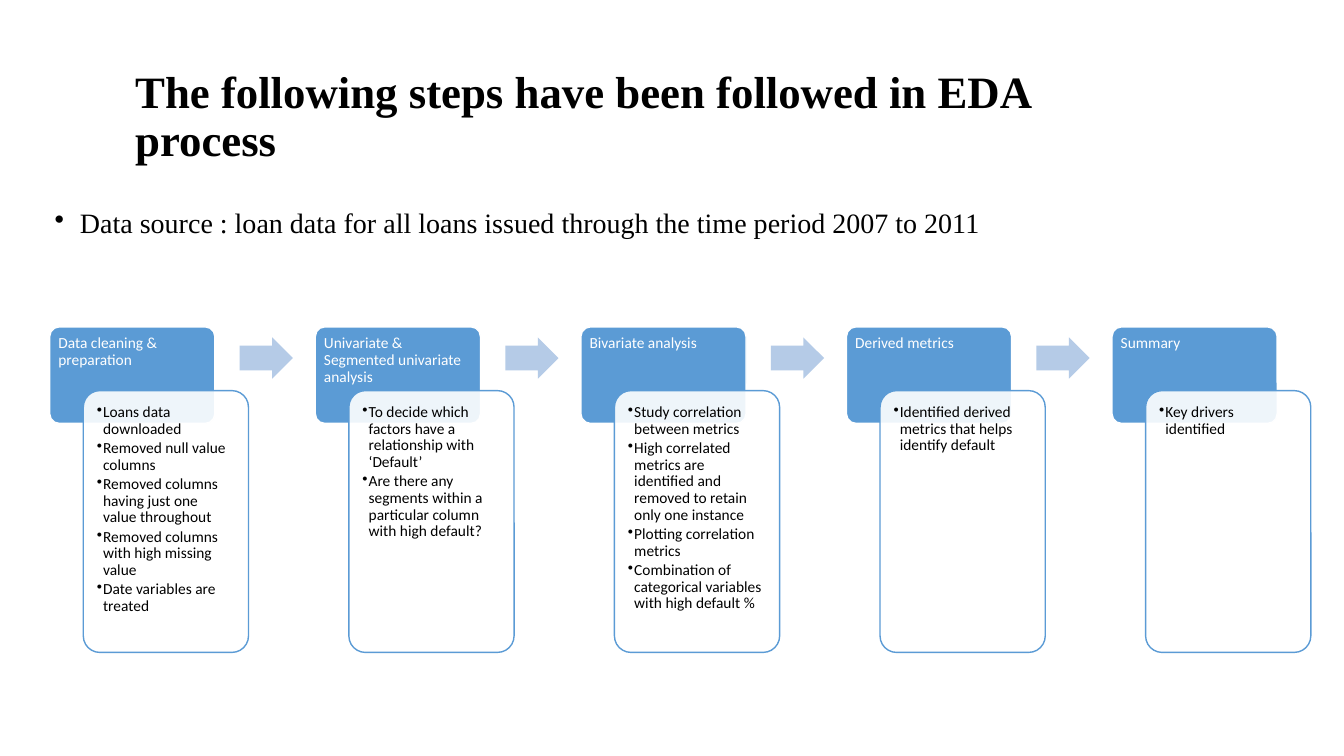
import pptx
import pptx.util
import pptx.dml.color
import pptx.enum.shapes
import pptx.enum.text
import pptx.oxml.ns
import lxml.etree

Pt = pptx.util.Pt
SHAPE = pptx.enum.shapes.MSO_SHAPE
ANCHOR = pptx.enum.text.MSO_ANCHOR
ALIGN = pptx.enum.text.PP_ALIGN
rgb = pptx.dml.color.RGBColor.from_string
qn = pptx.oxml.ns.qn

THEME = {
    "text": "000000", "white": "FFFFFF", "blue": "5B9BD5", "arrow": "B5CBE7",
    "heading_font": "Times New Roman", "step_font": "Calibri",
    "title_size": 32, "body_size": 20, "step_size": 11,
}

STEPS = [
    ("Data cleaning & preparation",
     ["Loans data downloaded",
      "Removed null value columns",
      "Removed columns having just one value throughout",
      "Removed columns with high missing value",
      "Date variables are treated"]),
    ("Univariate & Segmented univariate analysis",
     ["To decide which factors have a relationship with ‘Default’",
      "Are there any segments within a particular column with high default?"]),
    ("Bivariate analysis",
     ["Study correlation between metrics",
      "High correlated metrics are identified and removed to retain only one instance",
      "Plotting correlation metrics",
      "Combination of categorical variables with high default %"]),
    ("Derived metrics",
     ["Identified derived metrics that helps identify default"]),
    ("Summary", ["Key drivers identified"]),
]


def add_block(s, kind, x, y, w, h, fill, line=None):
    sp = s.shapes.add_shape(kind, Pt(x), Pt(y), Pt(w), Pt(h))
    sp.shadow.inherit = False
    sp.fill.solid()
    sp.fill.fore_color.rgb = rgb(THEME[fill])
    if line:
        sp.line.color.rgb = rgb(THEME[line])
        sp.line.width = Pt(1)
    else:
        sp.line.fill.background()
    return sp


def write(sp, lines, font, size, color="text", inset=(7.2, 3.6), indent=0,
          after=0, anchor=ANCHOR.TOP, bold=False):
    tf = sp.text_frame
    tf.word_wrap = True
    tf.vertical_anchor = anchor
    tf.margin_left = tf.margin_right = Pt(inset[0])
    tf.margin_top = tf.margin_bottom = Pt(inset[1])
    for i, line in enumerate(lines):
        p = tf.paragraphs[0] if i == 0 else tf.add_paragraph()
        p.text = line
        p.alignment = ALIGN.LEFT
        p.line_spacing = 0.9
        p.space_after = Pt(after)
        p.font.name = THEME[font]
        p.font.size = Pt(THEME[size])
        p.font.bold = bold
        p.font.color.rgb = rgb(THEME[color])
        if indent:
            pPr = p._p.get_or_add_pPr()
            pPr.set("marL", str(Pt(indent)))
            pPr.set("indent", str(-Pt(indent)))
            bullet = lxml.etree.Element(qn("a:buChar"), char="•")
            pPr.find(qn("a:defRPr")).addprevious(bullet)


prs = pptx.Presentation()
prs.slide_width, prs.slide_height = Pt(960), Pt(540)
s = prs.slides.add_slide(prs.slide_layouts[6])

# Title
title = s.shapes.add_textbox(Pt(89.5), Pt(50.5), Pt(733.5), Pt(67.5))
write(title, ["The following steps have been followed in EDA process"],
      "heading_font", "title_size", anchor=ANCHOR.MIDDLE, bold=True)

# Data source
source = s.shapes.add_textbox(Pt(32), Pt(146), Pt(879), Pt(342))
write(source, ["Data source : loan data for all loans issued through "
               "the time period 2007 to 2011"],
      "heading_font", "body_size", indent=18)

# Process steps: heading, detail card, arrow to the next step
LEFT, TOP, PITCH, WIDTH = 35.5, 233.5, 189.7, 118
for i, (heading, details) in enumerate(STEPS):
    x = LEFT + i * PITCH

    head = add_block(s, SHAPE.ROUNDED_RECTANGLE, x, TOP, WIDTH, 69, "blue", "white")
    head.adjustments[0] = 0.1
    write(head, [heading], "step_font", "step_size", "white", inset=(4.2, 4.2))

    card = add_block(s, SHAPE.ROUNDED_RECTANGLE, x + 24, TOP + 45.5, WIDTH, 187,
                     "white", "blue")
    card.adjustments[0] = 0.1
    color = card.fill._xPr.find(qn("a:solidFill"))[0]
    lxml.etree.SubElement(color, qn("a:alpha"), val="90000")
    write(card, details, "step_font", "step_size", inset=(6.2, 6.2),
          indent=4.5, after=2)

    if i < len(STEPS) - 1:
        arrow = add_block(s, SHAPE.RIGHT_ARROW, x + 135.7, TOP + 7.5, 38, 29.5, "arrow")
        arrow.adjustments[0] = 0.6

prs.save("out.pptx")
